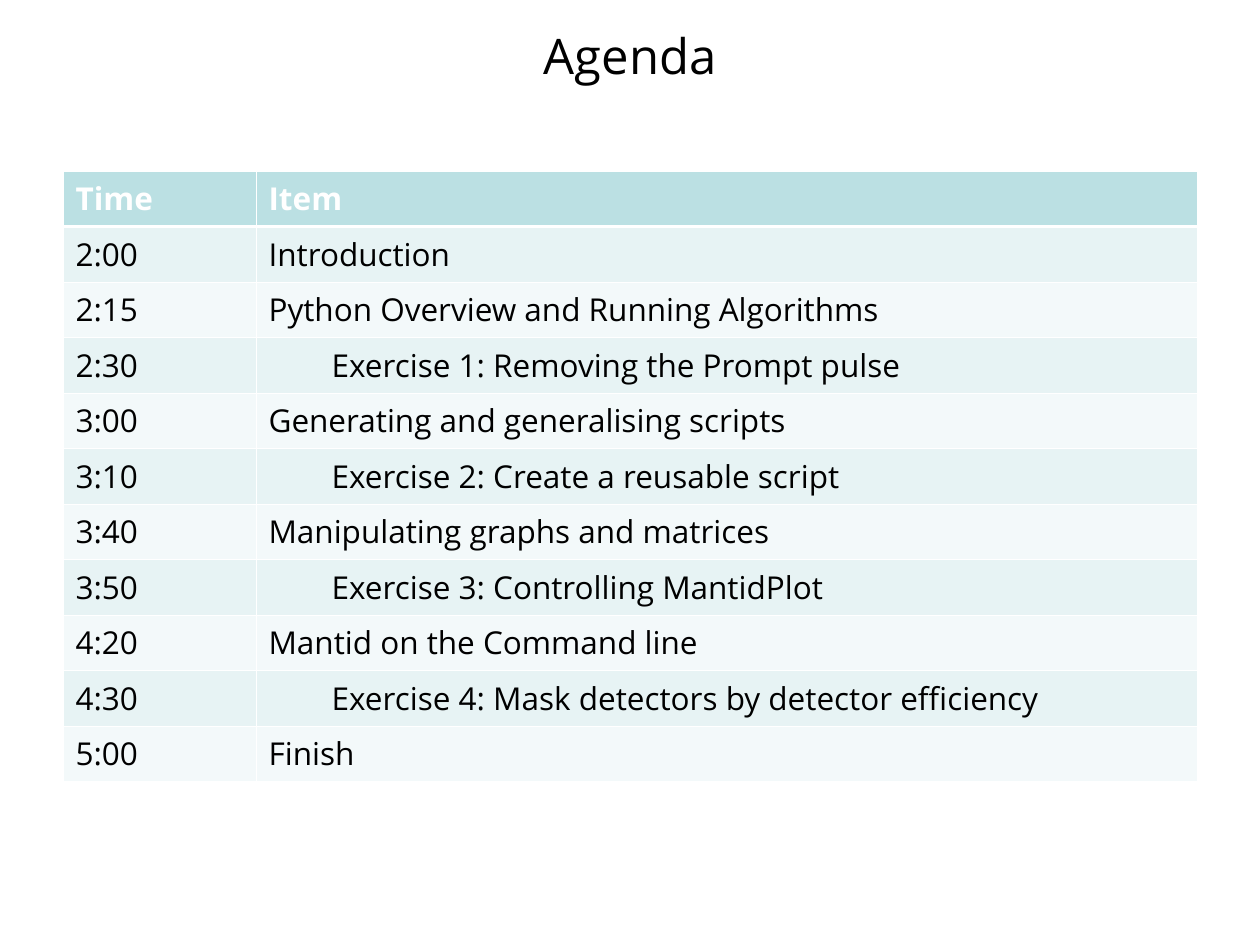
import pptx
import pptx.dml.color
import pptx.enum.text
import pptx.oxml.ns
import pptx.util
import lxml.etree

EMU_PER_PX = 914400 / 126
FONT = "Open Sans"
COLORS = {
    "text": "000000",
    "white": "FFFFFF",
    "header": "BBE0E3",
    "odd_row": "E7F3F4",
    "even_row": "F3F9FA",
}
AGENDA = [
    ("Time", "Item"),
    ("2:00", "Introduction"),
    ("2:15", "Python Overview and Running Algorithms"),
    ("2:30", "Exercise 1: Removing the Prompt pulse"),
    ("3:00", "Generating and generalising scripts"),
    ("3:10", "Exercise 2: Create a reusable script"),
    ("3:40", "Manipulating graphs and matrices"),
    ("3:50", "Exercise 3: Controlling MantidPlot"),
    ("4:20", "Mantid on the Command line"),
    ("4:30", "Exercise 4: Mask detectors by detector efficiency"),
    ("5:00", "Finish"),
]


def px(length):
    return pptx.util.Emu(round(length * EMU_PER_PX))


def color(name):
    return pptx.dml.color.RGBColor.from_string(COLORS[name])


def write_text(text_frame, text, *, size, fill="text", bold=False, align=None, indent=0):
    paragraph = text_frame.paragraphs[0]
    paragraph.alignment = align
    if indent:
        paragraph.level = 1
        properties = paragraph._p.get_or_add_pPr()
        properties.set("marL", str(px(indent)))
        properties.set("indent", "0")
    run = paragraph.add_run()
    run.text = text
    run.font.name = FONT
    run.font.size = pptx.util.Pt(size)
    run.font.bold = bold
    run.font.color.rgb = color(fill)


def set_borders(cell, widths):
    qualified = pptx.oxml.ns.qn
    properties = cell._tc.get_or_add_tcPr()
    for side, width in widths.items():
        line = lxml.etree.SubElement(
            properties, qualified(f"a:ln{side}"), w=str(pptx.util.Pt(width))
        )
        solid = lxml.etree.SubElement(line, qualified("a:solidFill"))
        lxml.etree.SubElement(solid, qualified("a:srgbClr"), val=COLORS["white"])


def place_title(slide, left, top, width, height):
    title = slide.shapes.title
    title.left, title.top, title.width, title.height = map(px, (left, top, width, height))
    title.text_frame.vertical_anchor = pptx.enum.text.MSO_ANCHOR.MIDDLE
    write_text(title.text_frame, "Agenda", size=28, align=pptx.enum.text.PP_ALIGN.CENTER)


def place_agenda(slide, left, top, width, row_height, time_width):
    row_count = len(AGENDA)
    table = slide.shapes.add_table(
        row_count, 2, px(left), px(top), px(width), px(row_height * row_count)
    ).table
    table.columns[0].width = px(time_width)
    table.columns[1].width = px(width - time_width)
    for row_index, entries in enumerate(AGENDA):
        is_header = row_index == 0
        row_fill = "header" if is_header else ("even_row", "odd_row")[row_index % 2]
        borders = {
            "L": 0.45,
            "R": 0.45,
            "T": 1.47 if row_index == 1 else 0.45,
            "B": 1.47 if is_header else 0.45,
        }
        for column_index, text in enumerate(entries):
            cell = table.cell(row_index, column_index)
            set_borders(cell, borders)
            cell.fill.solid()
            cell.fill.fore_color.rgb = color(row_fill)
            write_text(
                cell.text_frame,
                text,
                size=18,
                fill="white" if is_header else "text",
                bold=is_header,
                indent=63 if text.startswith("Exercise") else 0,
            )


def main():
    presentation = pptx.Presentation()
    presentation.slide_width = px(1260)
    presentation.slide_height = px(945)
    slide = presentation.slides.add_slide(presentation.slide_layouts[5])
    place_title(slide, 63, -24, 1134, 158)
    place_agenda(slide, 63, 171, 1134, row_height=55, time_width=193)
    presentation.save("out.pptx")


if __name__ == "__main__":
    main()
